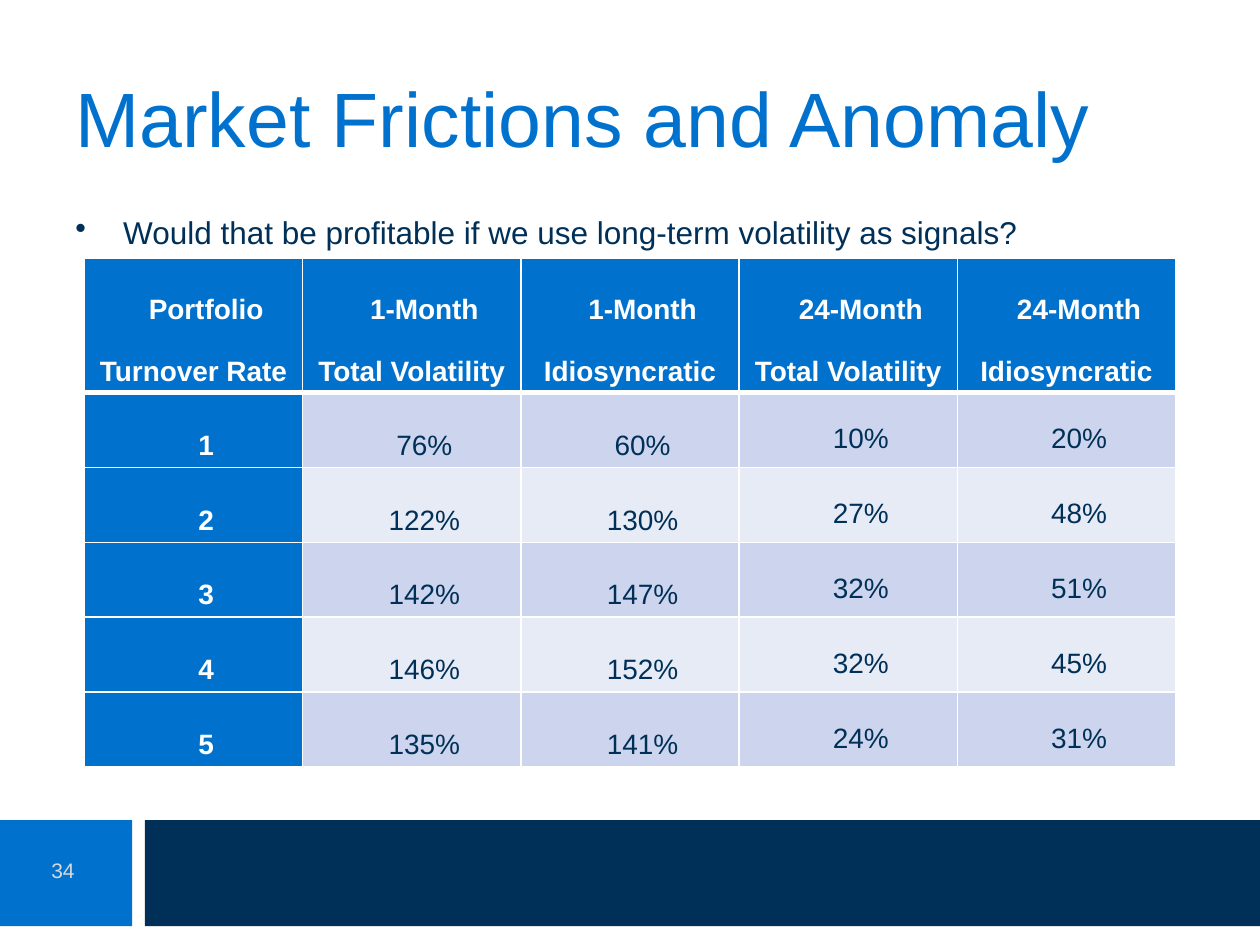
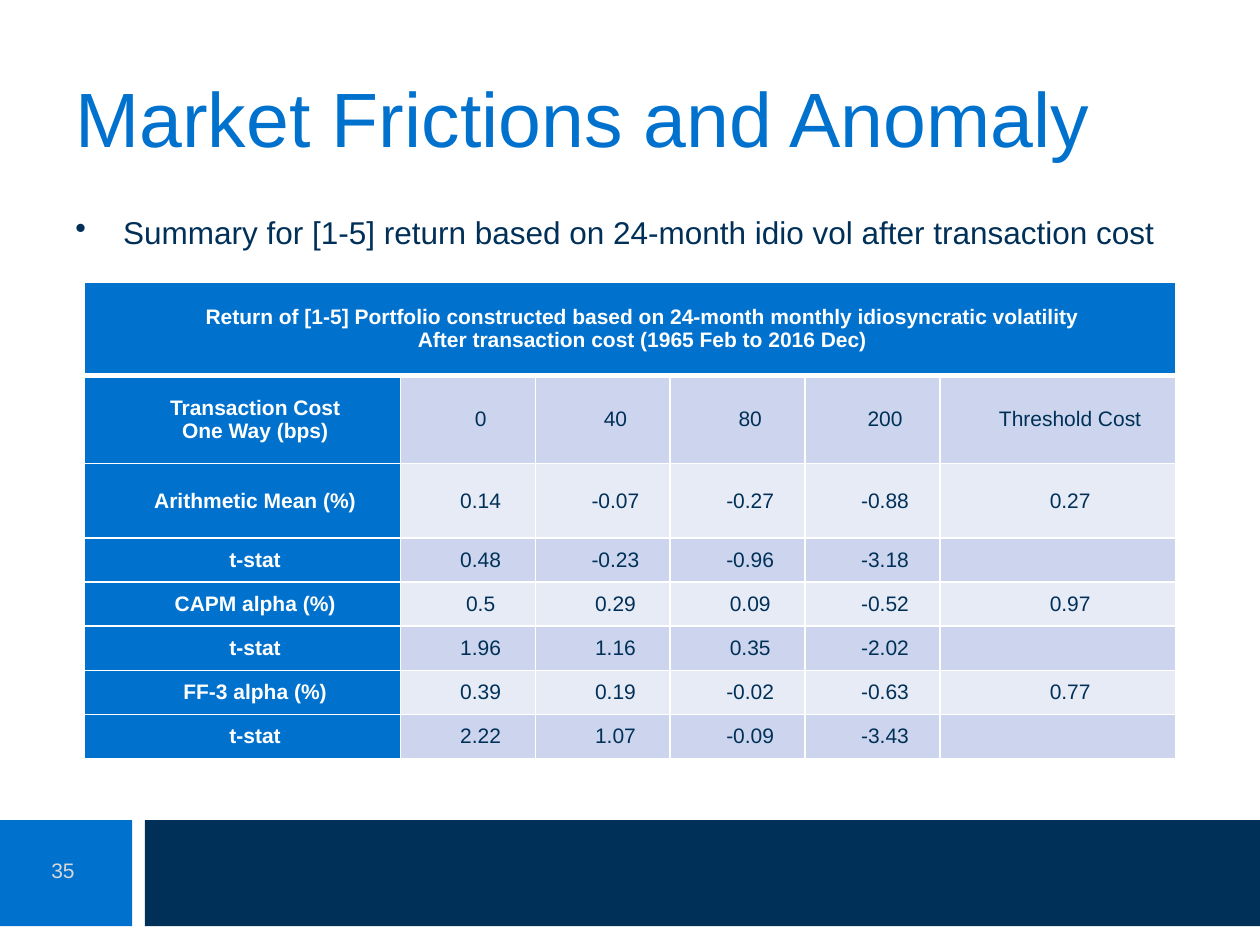
from dataclasses import dataclass

from lxml.etree import SubElement
from pptx import Presentation
from pptx.dml.color import RGBColor
from pptx.enum.shapes import MSO_SHAPE
from pptx.enum.text import MSO_ANCHOR, PP_ALIGN
from pptx.oxml.ns import qn
from pptx.util import Inches, Pt


@dataclass(frozen=True)
class Theme:
    font: str = "Arial"
    blue: str = "0072CE"
    navy: str = "003057"
    white: str = "FFFFFF"
    number_grey: str = "D9D9D9"
    bands: tuple = ("CCD5ED", "E7EBF6")
    title_size: int = 44
    bullet_size: int = 18
    number_size: int = 12
    turnover_size: int = 16
    returns_size: int = 12
    rule: int = 1
    header_rule: int = 3


THEME = Theme()

TITLE = "Market Frictions and Anomaly"
TITLE_BOX = (0.5, 0.3, 9, 1.25)
BODY_BOX = (0.5, 1.64, 9, 4.77)
FOOTER_BOX = (-0.01, 6.51, 10.03, 0.84)
TABLE_WIDTH = 8.66

TURNOVER = [
    ["Portfolio Turnover Rate", "1-Month Total Volatility", "1-Month Idiosyncratic",
     "24-Month Total Volatility", "24-Month Idiosyncratic"],
    ["1", "76%", "60%", "10%", "20%"],
    ["2", "122%", "130%", "27%", "48%"],
    ["3", "142%", "147%", "32%", "51%"],
    ["4", "146%", "152%", "32%", "45%"],
    ["5", "135%", "141%", "24%", "31%"],
]

RETURNS = [
    ["Return of [1-5] Portfolio constructed based on 24-month monthly idiosyncratic volatility\n"
     "After transaction cost (1965 Feb to 2016 Dec)", "", "", "", "", ""],
    ["Transaction Cost\nOne Way (bps)", "0", "40", "80", "200", "Threshold Cost"],
    ["Arithmetic Mean (%)", "0.14", "-0.07", "-0.27", "-0.88", "0.27"],
    ["t-stat", "0.48", "-0.23", "-0.96", "-3.18", ""],
    ["CAPM alpha (%)", "0.5", "0.29", "0.09", "-0.52", "0.97"],
    ["t-stat", "1.96", "1.16", "0.35", "-2.02", ""],
    ["FF-3 alpha (%)", "0.39", "0.19", "-0.02", "-0.63", "0.77"],
    ["t-stat", "2.22", "1.07", "-0.09", "-3.43", ""],
]


def rgb(color):
    return RGBColor.from_string(color)


def style_font(p, size, color, bold=False):
    p.font.name = THEME.font
    p.font.size = Pt(size)
    p.font.bold = bold
    p.font.color.rgb = rgb(color)


def add_text(slide, box, text, size, color, anchor=MSO_ANCHOR.TOP):
    tf = slide.shapes.add_textbox(*map(Inches, box)).text_frame
    tf.word_wrap = True
    tf.vertical_anchor = anchor
    p = tf.paragraphs[0]
    p.text = text
    style_font(p, size, color)
    return p


def set_indent(p, margin, indent):
    pPr = p._p.get_or_add_pPr()
    pPr.set("marL", str(Inches(margin)))
    pPr.set("indent", str(Inches(indent)))
    return pPr


def add_footer(slide, box, number):
    """Blue number block and navy band."""
    left, top, width, height = box
    block, gap = 1.06, 0.1
    parts = ((left, block, THEME.blue),
             (left + block + gap, width - block - gap, THEME.navy))
    for x, w, color in parts:
        sp = slide.shapes.add_shape(MSO_SHAPE.RECTANGLE,
                                    *map(Inches, (x, top, w, height)))
        sp.shadow.inherit = False
        sp.fill.solid()
        sp.fill.fore_color.rgb = rgb(color)
        sp.line.fill.background()
    p = add_text(slide, (left + 0.16, top + 0.2, 0.7, 0.4), str(number),
                 THEME.number_size, THEME.number_grey, MSO_ANCHOR.MIDDLE)
    p.alignment = PP_ALIGN.CENTER


def add_bullet(slide, box, text):
    p = add_text(slide, box, text, THEME.bullet_size, THEME.navy)
    p.space_before = Pt(0.2 * THEME.bullet_size)
    pPr = set_indent(p, 0.38, -0.38)
    bullet = pPr.makeelement(qn("a:buChar"), {"char": "•"})
    pPr.insert_element_before(bullet, "a:tabLst", "a:defRPr", "a:extLst")


def add_borders(cell, row):
    """White rules, thicker under the header row."""
    tcPr = cell._tc.get_or_add_tcPr()
    thick_side = {0: "B", 1: "T"}.get(row)
    for side in "LRTB":
        width = THEME.header_rule if side == thick_side else THEME.rule
        ln = SubElement(tcPr, qn(f"a:ln{side}"), w=str(Pt(width)))
        fill = SubElement(ln, qn("a:solidFill"))
        SubElement(fill, qn("a:srgbClr"), val=THEME.white)


def style_cell(cell, row, col, text, size, spacing, anchor):
    heading = row == 0 or col == 0
    add_borders(cell, row)
    cell.fill.solid()
    cell.fill.fore_color.rgb = rgb(THEME.blue if heading else THEME.bands[(row - 1) % 2])
    cell.margin_left = cell.margin_right = Inches(0.07)
    cell.margin_top = cell.margin_bottom = 0
    cell.vertical_anchor = anchor
    cell.text_frame.text = text
    for p in cell.text_frame.paragraphs:
        p.alignment = PP_ALIGN.CENTER
        p.line_spacing = spacing
        set_indent(p, 0, 0.2)
        style_font(p, size, THEME.white if heading else THEME.navy, heading)


def add_data_table(slide, left, top, data, widths, heights, size, spacing=1.0, top_cols=()):
    """Banded table; body cells in top_cols are anchored at the top."""
    table = slide.shapes.add_table(
        len(data), len(widths), Inches(left), Inches(top),
        Inches(sum(widths)), Inches(sum(heights))).table
    table.first_row = table.horz_banding = False
    for column, width in zip(table.columns, widths):
        column.width = Inches(width)
    for r, values in enumerate(data):
        table.rows[r].height = Inches(heights[r])
        for c, text in enumerate(values):
            anchor = MSO_ANCHOR.TOP if r and c in top_cols else MSO_ANCHOR.MIDDLE
            style_cell(table.cell(r, c), r, c, text, size, spacing, anchor)
    return table


def add_base_slide(prs, number, bullet):
    """Footer, title and bullet shared by the slides."""
    slide = prs.slides.add_slide(prs.slide_layouts[6])
    add_footer(slide, FOOTER_BOX, number)
    add_text(slide, TITLE_BOX, TITLE, THEME.title_size, THEME.blue, MSO_ANCHOR.MIDDLE)
    add_bullet(slide, BODY_BOX, bullet)
    return slide


def add_turnover_slide(prs):
    slide = add_base_slide(
        prs, 34, "Would that be profitable if we use long-term volatility as signals?")
    add_data_table(slide, 0.67, 2.05, TURNOVER, [TABLE_WIDTH / 5] * 5,
                   [0.97] + [2.97 / 5] * 5, THEME.turnover_size,
                   spacing=2.0, top_cols=(3, 4))


def add_returns_slide(prs):
    slide = add_base_slide(
        prs, 35, "Summary for [1-5] return based on 24-month idio vol after transaction cost")
    table = add_data_table(slide, 0.67, 2.24, RETURNS, [2.51] + [1.07] * 4 + [1.87],
                           [0.74, 0.7, 0.59] + [0.35] * 5, THEME.returns_size)
    table.cell(0, 0).merge(table.cell(0, 5))


def main():
    prs = Presentation()
    prs.slide_width, prs.slide_height = Inches(10), Inches(7.5)
    add_turnover_slide(prs)
    add_returns_slide(prs)
    prs.save("out.pptx")


if __name__ == "__main__":
    main()
